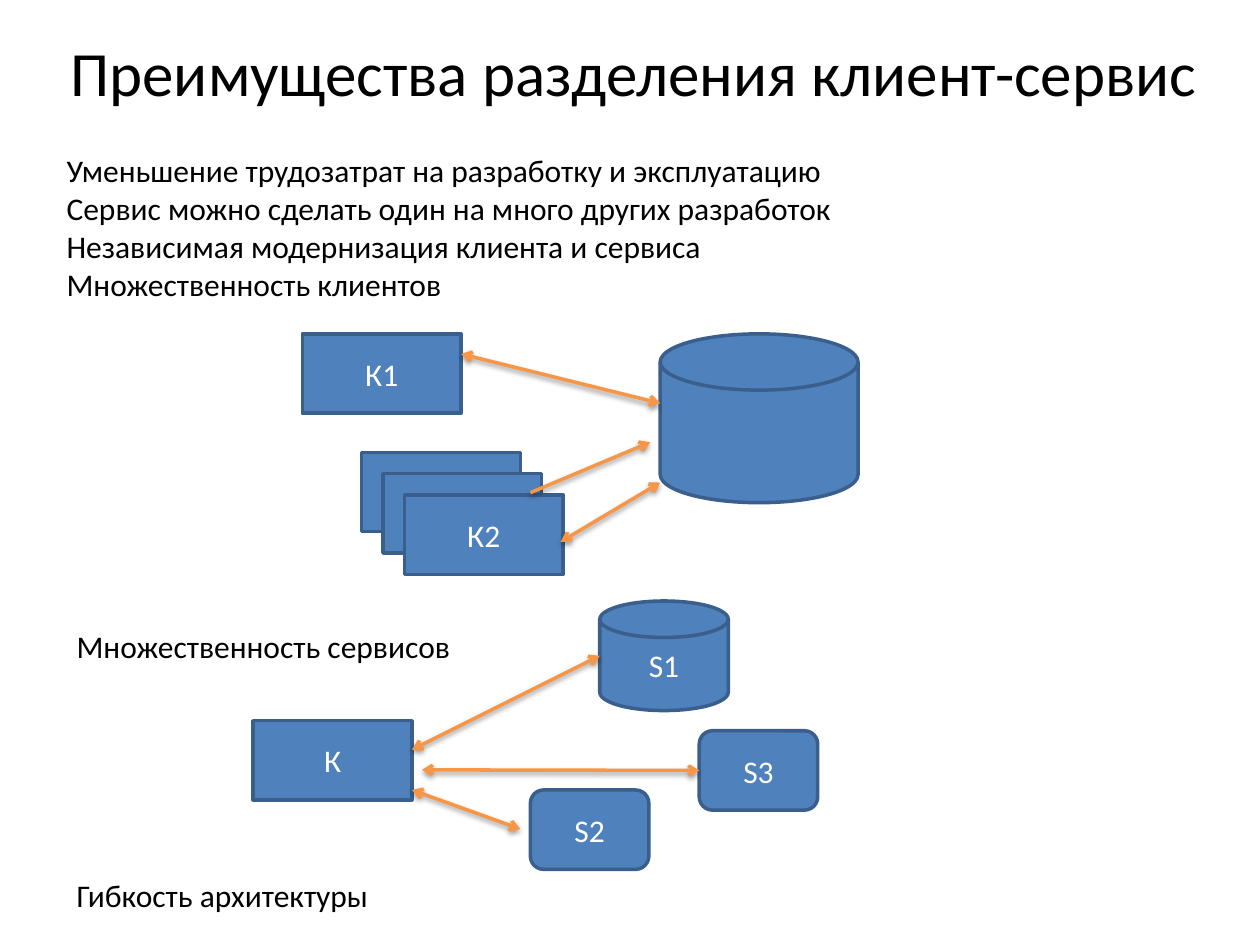
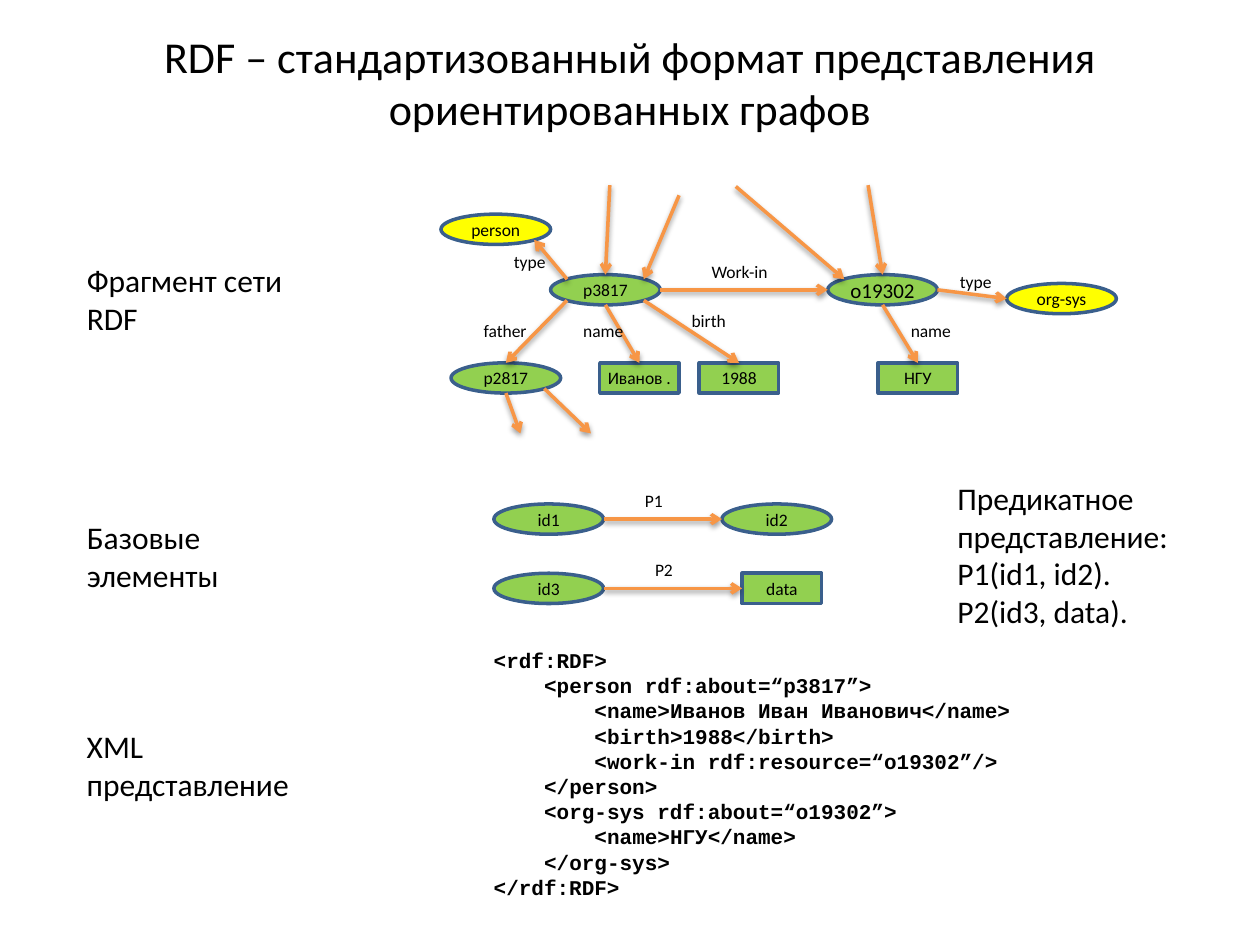
from dataclasses import dataclass
from typing import Any

import lxml.etree
import pptx
import pptx.dml.color
import pptx.enum.shapes
import pptx.enum.text
import pptx.oxml
import pptx.oxml.ns
import pptx.util

Inches = pptx.util.Inches
Pt = pptx.util.Pt
RGBColor = pptx.dml.color.RGBColor
SHAPE = pptx.enum.shapes.MSO_SHAPE
ALIGN = pptx.enum.text.PP_ALIGN
ANCHOR = pptx.enum.text.MSO_ANCHOR

BLACK = RGBColor(0x00, 0x00, 0x00)
WHITE = RGBColor(0xFF, 0xFF, 0xFF)
BLUE = RGBColor(0x4F, 0x81, 0xBD)
OUTLINE = RGBColor(0x3A, 0x5F, 0x8C)
ORANGE = RGBColor(0xF7, 0x96, 0x46)
GREEN = RGBColor(0x92, 0xD0, 0x50)
YELLOW = RGBColor(0xFF, 0xFF, 0x00)

BODY_FONT = "Calibri"
CODE_FONT = "Courier New"
LINE_WIDTH = Pt(2)
CODE_INDENT = 0.4

CLIENT_SIZE = (1.26, 0.63)
SERVICE_SIZE = (0.94, 0.63)
RESOURCE_SIZE = (0.87, 0.24)
LITERAL_SIZE = (0.63, 0.24)

SITES = {
    "top": (0.5, 0), "bottom": (0.5, 1), "left": (0, 0.5), "right": (1, 0.5),
    "top left": (0.15, 0.15), "top right": (0.85, 0.15),
    "bottom left": (0.15, 0.85), "bottom right": (0.85, 0.85),
}

ARROW_SHADOW = (
    f'<a:effectLst {pptx.oxml.ns.nsdecls("a")}>'
    f'<a:outerShdw blurRad="{Pt(3.1)}" dist="{Pt(1.6)}" dir="5400000" rotWithShape="0">'
    '<a:srgbClr val="000000"><a:alpha val="38000"/></a:srgbClr>'
    '</a:outerShdw></a:effectLst>'
)


def style_paragraph(paragraph, size, color=BLACK, font=BODY_FONT, bold=False):
    paragraph.font.name = font
    paragraph.font.size = Pt(size)
    paragraph.font.bold = bold
    paragraph.font.color.rgb = color


@dataclass
class Region:
    slide: Any
    left: float
    top: float

    def place(self, x, y):
        return Inches(self.left + x), Inches(self.top + y)

    def text(self, x, y, width, height, lines, size=18, **style):
        box = self.slide.shapes.add_textbox(*self.place(x, y), Inches(width), Inches(height))
        frame = box.text_frame
        frame.word_wrap = True
        frame.text = "\n".join(lines)
        for paragraph in frame.paragraphs:
            style_paragraph(paragraph, size, **style)
        return frame

    def node(self, kind, x, y, size, fill, caption="", text_size=18, color=WHITE):
        width, height = size
        shape = self.slide.shapes.add_shape(
            kind, *self.place(x, y), Inches(width), Inches(height))
        shape.shadow.inherit = False
        shape.fill.solid()
        shape.fill.fore_color.rgb = fill
        shape.line.color.rgb = OUTLINE
        shape.line.width = LINE_WIDTH
        if caption:
            frame = shape.text_frame
            frame.word_wrap = False
            frame.vertical_anchor = ANCHOR.MIDDLE
            frame.text = caption
            paragraph = frame.paragraphs[0]
            paragraph.alignment = ALIGN.CENTER
            style_paragraph(paragraph, text_size, color)

        def site(name):
            across, down = SITES[name]
            return x + across * width, y + down * height

        return site

    def resource(self, x, y, caption, fill=GREEN, text_size=10):
        return self.node(SHAPE.OVAL, x, y, RESOURCE_SIZE, fill, caption, text_size, BLACK)

    def literal(self, x, y, caption):
        return self.node(SHAPE.RECTANGLE, x, y, LITERAL_SIZE, GREEN, caption, 10, BLACK)

    def label(self, x, y, caption):
        self.text(x, y, 0.71, 0.27, [caption], 10)

    def arrow(self, start, end, both_ways=False):
        connector = self.slide.shapes.add_connector(
            pptx.enum.shapes.MSO_CONNECTOR.STRAIGHT, *self.place(*start), *self.place(*end))
        connector.line.color.rgb = ORANGE
        connector.line.width = LINE_WIDTH
        line = connector.line._get_or_add_ln()
        for tip in ["headEnd", "tailEnd"] if both_ways else ["tailEnd"]:
            lxml.etree.SubElement(line, pptx.oxml.ns.qn(f"a:{tip}"), type="arrow")
        connector._element.spPr.append(pptx.oxml.parse_xml(ARROW_SHADOW))


def add_title(slide, box, title, size):
    left, top, width, height = box
    frame = Region(slide, left, top).text(0, 0, width, height, [title], size)
    frame.vertical_anchor = ANCHOR.MIDDLE
    frame.paragraphs[0].alignment = ALIGN.CENTER


def draw_many_clients(region):
    region.node(SHAPE.FLOWCHART_MAGNETIC_DISK, 2.84, 0, (1.57, 1.34), BLUE)
    region.node(SHAPE.RECTANGLE, 0, 0, CLIENT_SIZE, BLUE, "К1")
    for index, caption in enumerate(["", "", "К2"]):
        step = 0.17 * index
        region.node(SHAPE.RECTANGLE, 0.47 + step, 0.94 + step, CLIENT_SIZE, BLUE, caption)
    region.arrow((1.81, 1.26), (2.76, 0.86))
    region.arrow((1.26, 0.16), (2.84, 0.55), both_ways=True)
    region.arrow((2.05, 1.65), (2.84, 1.18), both_ways=True)


def draw_many_services(region):
    region.node(SHAPE.RECTANGLE, 0, 0.95, CLIENT_SIZE, BLUE, "К")
    disk = region.node(SHAPE.FLOWCHART_MAGNETIC_DISK, 2.75, 0, (1.02, 0.87), BLUE, "S1")
    region.node(SHAPE.ROUNDED_RECTANGLE, 2.2, 1.5, SERVICE_SIZE, BLUE, "S2")
    third = region.node(SHAPE.ROUNDED_RECTANGLE, 3.54, 1.03, SERVICE_SIZE, BLUE, "S3")
    region.arrow((1.26, 1.18), disk("left"), both_ways=True)
    region.arrow((1.34, 1.34), third("left"), both_ways=True)
    region.arrow((1.26, 1.5), (2.12, 1.81), both_ways=True)


def draw_network(region):
    person = region.resource(0.87, 0.71, "p3817")
    organization = region.resource(3.07, 0.71, "o19302", text_size=12)
    father = region.resource(0.08, 1.41, "p2817")
    person_name = region.literal(1.26, 1.41, "Иванов .")
    birth = region.literal(2.05, 1.41, "1988")
    organization_name = region.literal(3.47, 1.41, "НГУ")
    organization_type = region.resource(4.49, 0.78, "org-sys", YELLOW)
    person_type = region.resource(0, 0.23, "person", YELLOW)

    for start, end in [
        (person("right"), organization("left")),
        (organization("right"), organization_type("left")),
        (person("top left"), person_type("bottom right")),
        ((1.34, 0), person("top")),
        ((1.89, 0.08), person("top right")),
        ((2.34, 0.01), organization("top left")),
        ((3.39, 0), organization("top")),
        (person("bottom left"), father("top")),
        (person("bottom"), person_name("top")),
        (person("bottom right"), birth("top")),
        (organization("bottom"), organization_name("top")),
        (father("bottom right"), (1.19, 1.97)),
        (father("bottom"), (0.63, 1.97)),
    ]:
        region.arrow(start, end)

    for x, y, predicate in [
        (0.48, 0.47, "type"), (4.02, 0.63, "type"), (2.05, 0.55, "Work-in"),
        (3.63, 1.02, "name"), (1.03, 1.02, "name"), (1.89, 0.94, "birth"),
        (0.24, 1.02, "father"),
    ]:
        region.label(x, y, predicate)


def draw_basic_elements(region):
    rows = [
        ("id1", "P1", 1.1, region.resource, 1.81, "id2"),
        ("id3", "P2", 1.18, region.literal, 1.97, "data"),
    ]
    for index, (subject, predicate, label_x, add_value, value_x, value) in enumerate(rows):
        y = 0.55 * index
        source = region.resource(0, y + 0.16, subject)
        target = add_value(value_x, y + 0.16, value)
        region.arrow(source("right"), target("left"))
        region.label(label_x, y, predicate)


def draw_xml(region):
    code = [
        (0, "<rdf:RDF>"),
        (1, "<person rdf:about=“p3817”>"),
        (2, "<name>Иванов Иван Иванович</name>"),
        (2, "<birth>1988</birth>"),
        (2, "<work-in rdf:resource=“o19302”/>"),
        (1, "</person>"),
        (1, "<org-sys rdf:about=“o19302”>"),
        (2, "<name>НГУ</name>"),
        (1, "</org-sys>"),
        (0, "</rdf:RDF>"),
    ]
    frame = region.text(0, 0, 4.96, 2.12, [line for _, line in code], 12,
                        font=CODE_FONT, bold=True)
    for paragraph, (depth, _) in zip(frame.paragraphs, code):
        paragraph._p.get_or_add_pPr().set("marL", str(Inches(CODE_INDENT * depth)))


def build_advantages(slide):
    add_title(slide, (0.28, 0.21, 9.5, 0.71), "Преимущества разделения клиент-сервис", 36)
    page = Region(slide, 0, 0)
    page.text(0.43, 1.15, 9.21, 1.31, [
        "Уменьшение трудозатрат на разработку и эксплуатацию",
        "Сервис можно сделать один на много других разработок",
        "Независимая модернизация клиента и сервиса",
        "Множественность клиентов",
    ])
    draw_many_clients(Region(slide, 2.4, 2.65))
    page.text(0.51, 4.93, 7.24, 0.4, ["Множественность сервисов"])
    draw_many_services(Region(slide, 2.01, 4.77))
    page.text(0.51, 6.9, 7.56, 0.4, ["Гибкость архитектуры"])


def build_rdf(slide):
    add_title(slide, (0.5, 0.3, 9, 0.7),
              "RDF – стандартизованный формат представления ориентированных графов", 25.2)
    page = Region(slide, 0, 0)
    for top, width, heading in [
        (2.02, 1.81, "Фрагмент сети RDF"),
        (4.06, 1.89, "Базовые элементы"),
        (5.72, 1.97, "XML представление"),
    ]:
        page.text(0.59, top, width, 0.71, [heading])
    draw_network(Region(slide, 3.5, 1.47))
    draw_basic_elements(Region(slide, 3.92, 3.84))
    draw_xml(Region(slide, 3.82, 5.09))
    page.text(7.5, 3.75, 2.17, 1.31,
              ["Предикатное представление:", "P1(id1, id2).", "P2(id3, data)."])


def main():
    presentation = pptx.Presentation()
    presentation.slide_width = Inches(10)
    presentation.slide_height = Inches(7.5)
    blank = presentation.slide_layouts[6]
    for build in (build_advantages, build_rdf):
        build(presentation.slides.add_slide(blank))
    presentation.save("out.pptx")


if __name__ == "__main__":
    main()
